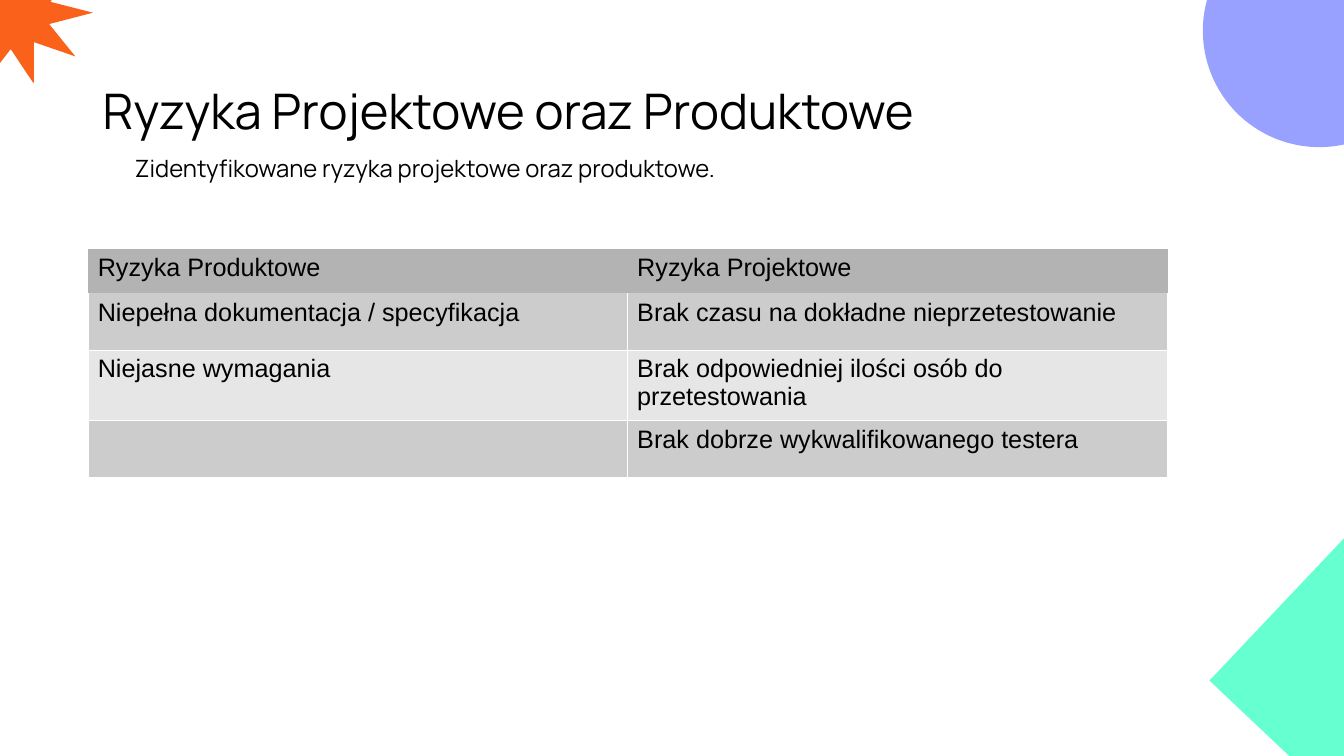
from typing import Any, NamedTuple

from lxml.etree import SubElement
from pptx import Presentation
from pptx.dml.color import RGBColor
from pptx.enum.shapes import MSO_SHAPE
from pptx.enum.text import MSO_ANCHOR
from pptx.oxml.ns import qn
from pptx.util import Inches, Pt


class Decor(NamedTuple):
    kind: MSO_SHAPE
    box: tuple[float, float, float, float]
    fill: str
    turn: float = 0
    depth: float | None = None


class Label(NamedTuple):
    text: str
    box: tuple[float, float, float, float]
    size: int
    anchor: MSO_ANCHOR
    pace: float
    indent: float = 0


DECOR = [
    Decor(MSO_SHAPE.OVAL, (11.93, -0.85, 2.31, 2.31), "98A1FF"),
    Decor(MSO_SHAPE.RECTANGLE, (12.37, 4.92, 3.88, 2.7), "66FFD0", 313.4),
    Decor(MSO_SHAPE.STAR_10_POINT, (-0.64, -0.6, 1.53, 1.46), "FA611A", 343.3, 0.243),
]
LABELS = [
    Label("Ryzyka Projektowe oraz Produktowe", (0.92, 0.4, 10.89, 1.45),
          35, MSO_ANCHOR.MIDDLE, 0.9),
    Label("Zidentyfikowane ryzyka projektowe oraz produktowe.",
          (0.99, 1.55, 10.89, 0.31), 17, MSO_ANCHOR.TOP, 0.7, 0.25),
]
RISKS = [
    ("Ryzyka Produktowe", "Ryzyka Projektowe"),
    ("Niepełna dokumentacja / specyfikacja", "Brak czasu na dokładne nieprzetestowanie"),
    ("Niejasne wymagania", "Brak odpowiedniej ilości osób do przetestowania"),
    ("", "Brak dobrze wykwalifikowanego testera"),
]
WIDTHS = [5.35, 5.36]
HEIGHTS = [0.44, 0.56, 0.67, 0.56]
HEAD, BANDS = "B3B3B3", ("E6E6E6", "CCCCCC")
EDGE, HAIR = "FFFFFF", 0.06


def color(code: str) -> RGBColor:
    return RGBColor.from_string(code)


def apply(target: Any, values: dict[str, Any]) -> None:
    """Set each named attribute on the target."""
    for name, value in values.items():
        setattr(target, name, value)


def style(font: Any, name: str, size: int) -> None:
    apply(font, {"name": name, "size": Pt(size), "bold": False})
    font.color.rgb = color("000000")


def draw_decor(slide: Any, item: Decor) -> None:
    shape = slide.shapes.add_shape(item.kind, *map(Inches, item.box))
    shape.rotation = item.turn
    shape.shadow.inherit = False
    shape.fill.solid()
    shape.fill.fore_color.rgb = color(item.fill)
    shape.line.fill.background()
    if item.depth is not None:
        shape.adjustments[0] = item.depth


def draw_label(slide: Any, item: Label) -> None:
    frame = slide.shapes.add_textbox(*map(Inches, item.box)).text_frame
    apply(frame, {"word_wrap": True, "vertical_anchor": item.anchor, "text": item.text})
    para = frame.paragraphs[0]
    para.line_spacing = item.pace
    if item.indent:
        para._p.get_or_add_pPr().set("marL", str(Inches(item.indent)))
    style(para.runs[0].font, "Manrope", item.size)


def add_edges(cell: Any, bare: str) -> None:
    """Add four borders, leaving the sides named in bare without a line."""
    props = cell._tc.get_or_add_tcPr()
    for side in "LRTB":
        line = SubElement(props, qn(f"a:ln{side}"), w=str(Pt(HAIR)))
        if side in bare:
            SubElement(line, qn("a:noFill"))
        else:
            fill = SubElement(line, qn("a:solidFill"))
            SubElement(fill, qn("a:srgbClr"), val=EDGE)


def draw_table(slide: Any) -> None:
    box = (0.87, 2.47, sum(WIDTHS), sum(HEIGHTS))
    table = slide.shapes.add_table(
        len(RISKS), len(WIDTHS), *map(Inches, box)).table
    apply(table, {"first_row": False, "horz_banding": False})
    for col, width in zip(table.columns, WIDTHS):
        col.width = Inches(width)
    for i, (row, height, texts) in enumerate(zip(table.rows, HEIGHTS, RISKS)):
        row.height = Inches(height)
        for cell, text in zip(row.cells, texts):
            add_edges(cell, ("LRTB", "T", "", "")[i])
            cell.fill.solid()
            cell.fill.fore_color.rgb = color(BANDS[i % 2] if i else HEAD)
            cell.text = text
            para = cell.text_frame.paragraphs[0]
            style(para.runs[0].font if text else para.font, "Arial", 18)


def main() -> None:
    deck = Presentation()
    apply(deck, {"slide_width": Inches(13.33), "slide_height": Inches(7.5)})
    slide = deck.slides.add_slide(deck.slide_layouts[6])
    for item in DECOR:
        draw_decor(slide, item)
    for item in LABELS:
        draw_label(slide, item)
    draw_table(slide)
    deck.save("out.pptx")


if __name__ == "__main__":
    main()
